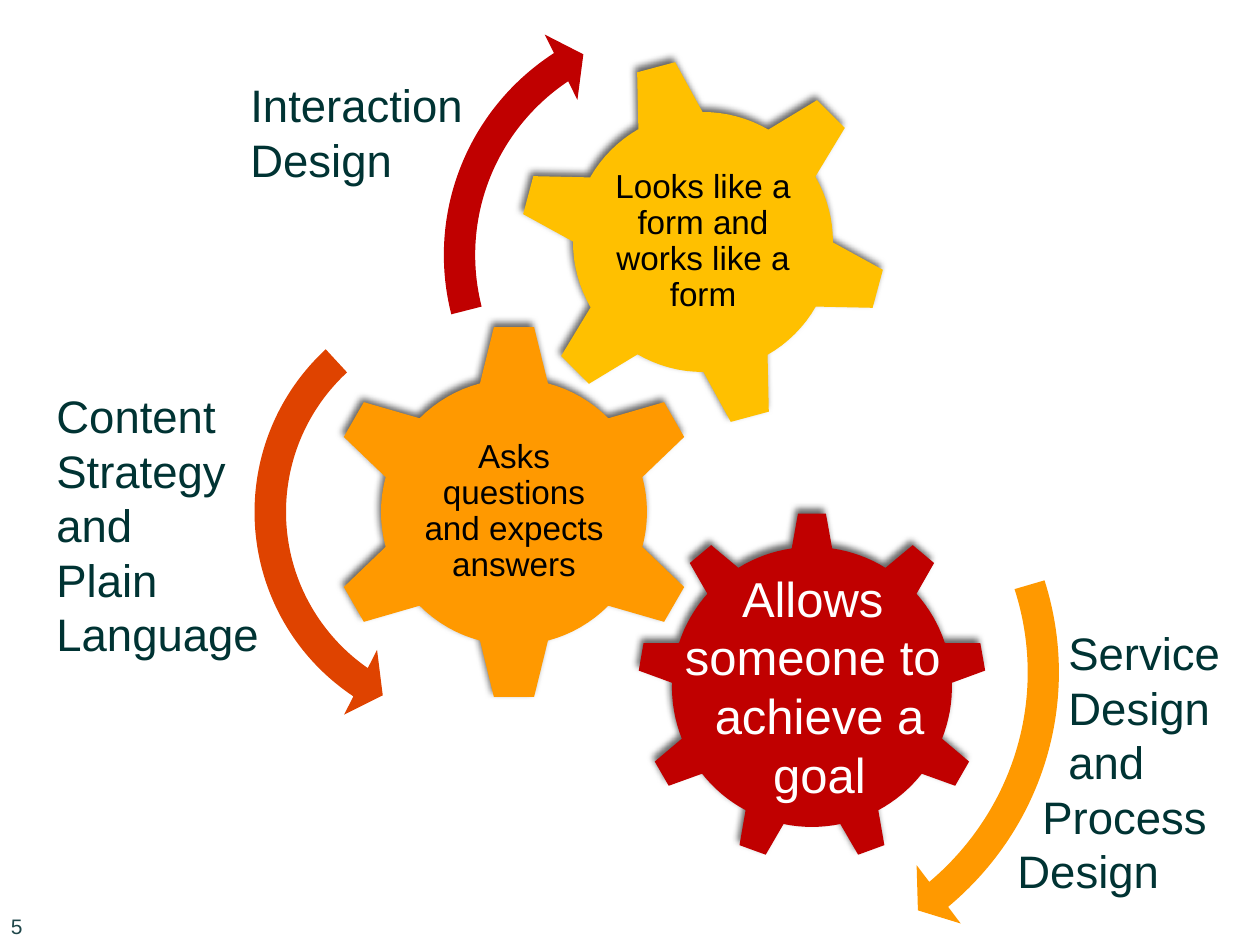
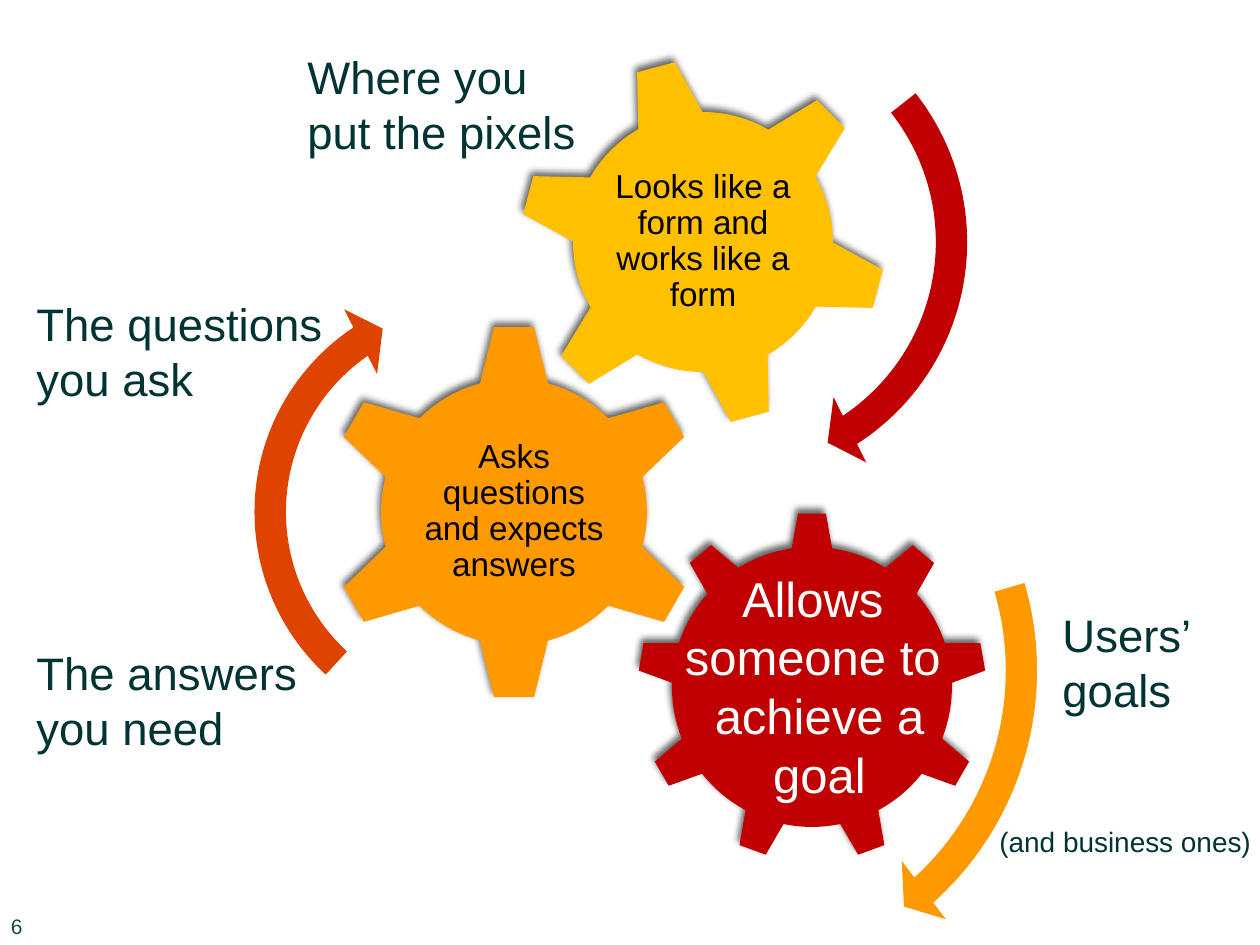
"""Build two slides of interlocking gears with curved arrows and labels."""
from math import cos, radians, sin

from lxml import etree
from pptx import Presentation
from pptx.dml.color import RGBColor
from pptx.enum.shapes import MSO_SHAPE
from pptx.enum.text import MSO_ANCHOR, MSO_AUTO_SIZE, PP_ALIGN
from pptx.oxml.ns import qn
from pptx.util import Emu, Pt

RIGHT, LEFT = MSO_SHAPE.CIRCULAR_ARROW, MSO_SHAPE.LEFT_CIRCULAR_ARROW
MIDDLE, BOTTOM = MSO_ANCHOR.MIDDLE, MSO_ANCHOR.BOTTOM
CENTER, START = PP_ALIGN.CENTER, PP_ALIGN.LEFT
GROW = MSO_AUTO_SIZE.SHAPE_TO_FIT_TEXT

SCALE = 914400 / 126
FONT = "Arial"
HEX = {
    "red": "C00000", "rust": "DF4300", "orange": "FF9900", "gold": "FFC000",
    "teal": "003333", "slate": "1E4649", "black": "000000", "white": "FFFFFF",
}

GEARS = [
    dict(mid=(514, 512), teeth=6, turn=0, tip=(186, 6.2), root=(133, 14.8),
         hue="orange", text="Asks questions and expects answers"),
    dict(mid=(703, 242), teeth=6, turn=-15, tip=(182, 6.2), root=(130, 14.8),
         hue="gold", text="Looks like a form and works like a form"),
    dict(mid=(812, 687), teeth=9, turn=0, tip=(174, 4.6), root=(140, 8.3),
         hue="red", text=""),
]
GOAL = dict(box=(670, 562, 299, 251), size=28, hue="white", align=CENTER,
            paras=["Allows \vsomeone to \vachieve a", "goal"])

RUST = (0.07, 4.3, 104.89, 166.78, 0.08)
AMBER = (0.05, 2.99, 25.57, 203.04, 0.06)
RUST = (0.065, *RUST[1:4], 0.075)
AMBER = (0.047, *AMBER[1:4], 0.055)

SLIDES = [
    dict(
        number="5",
        arrows=[
            dict(kind=LEFT, box=(234, 270, 484, 484), turn=309.3, hue="rust", bend=RUST),
            dict(kind=RIGHT, box=(423, -6, 522, 522), turn=14.9, hue="red",
                 bend=(0.06, 3.94, 133.14, 90.48, 0.07)),
            dict(kind=RIGHT, box=(393, 338, 687, 665), turn=5.3, hue="orange", bend=AMBER),
        ],
        labels=[
            dict(box=(44, 382, 231, 289),
                 paras=["Content", "Strategy", "and", "Plain\vLanguage"]),
            dict(box=(238, 71, 253, 123), paras=["Interaction\vDesign"]),
            dict(box=(1005, 619, 255, 289), wrap=True, indents=(51, 51, 51, 25),
                 paras=["Service", "Design", "and", "Process\vDesign"]),
        ],
    ),
    dict(
        number="6",
        arrows=[
            dict(kind=RIGHT, box=(393, 338, 665, 665), turn=5.3, hue="orange", bend=AMBER),
            dict(kind=LEFT, box=(234, 270, 484, 484), turn=50.7, hue="rust", bend=RUST,
                 flip=True),
            dict(kind=RIGHT, box=(466, -19, 522, 522), turn=194.9, hue="red",
                 bend=(0.06, 3.94, 133.14, 76.1, 0.07)),
        ],
        labels=[
            dict(box=(987, 601, 319, 267), wrap=True, indents=(63, 63, 0),
                 paras=["Users’", "goals", "(and business ones)"], last=(16, 62)),
            dict(box=(24, 639, 301, 123), paras=["The answers\vyou need"]),
            dict(box=(24, 290, 315, 123), paras=["The questions\vyou ask"]),
            dict(box=(295, 43, 296, 123), paras=["Where you", "put the pixels"]),
        ],
    ),
]


def px(*nums):
    """Turn pixels into EMU."""
    return [Emu(round(num * SCALE)) for num in nums]


def style(para, size, hue, align=START):
    """Set the font and alignment of a paragraph."""
    para.font.name, para.font.size = FONT, Pt(size)
    para.font.color.rgb = RGBColor.from_string(HEX[hue])
    para.alignment = align


def paint(shape, hue):
    """Fill a shape flat, with no line and no shadow."""
    shape.fill.solid()
    shape.fill.fore_color.rgb = RGBColor.from_string(HEX[hue])
    shape.line.fill.background()
    shape.shadow.inherit = False


def shade(shape):
    """Cast a soft dark shadow to the upper left."""
    glow = shape._element.spPr.find(qn("a:effectLst"))
    cast = etree.SubElement(glow, qn("a:outerShdw"), blurRad=str(Pt(4)), dist=str(Pt(3)),
                            dir=str(245 * 60000), algn="ctr", rotWithShape="0")
    tint = etree.SubElement(cast, qn("a:srgbClr"), val=HEX["black"])
    etree.SubElement(tint, qn("a:alpha"), val="60000")


def outline(mid, teeth, turn, tip, root):
    """List the points of a gear, tooth by tooth."""
    step, arc = 360 / teeth, 8
    gap = step - 2 * root[1]
    spots = []
    for tooth in range(teeth):
        axis = turn + tooth * step
        spots += [(tip[0], axis - tip[1]), (tip[0], axis + tip[1])]
        spots += [(root[0], axis + root[1] + gap * part / arc) for part in range(arc + 1)]
    return [px(mid[0] + far * sin(radians(deg)), mid[1] - far * cos(radians(deg)))
            for far, deg in spots]


def add_gear(slide, hue, text, **form):
    """Draw one gear and its text."""
    first, *rest = outline(**form)
    pen = slide.shapes.build_freeform(*first)
    pen.add_line_segments(rest, close=True)
    gear = pen.convert_to_shape()
    paint(gear, hue)
    shade(gear)
    if text:
        frame = gear.text_frame
        frame.word_wrap, frame.vertical_anchor = True, MIDDLE
        frame.margin_left = frame.margin_right = px(80)[0]
        para = frame.paragraphs[0]
        para.text, para.line_spacing = text, 0.9
        style(para, 19, "black", CENTER)


def add_arrow(slide, kind, box, turn, hue, bend, flip=False):
    """Draw one curved arrow."""
    arrow = slide.shapes.add_shape(kind, *px(*box))
    for spot, value in enumerate(bend):
        arrow.adjustments[spot] = value
    arrow.rotation = turn
    if flip:
        arrow._element.spPr.get_or_add_xfrm().set("flipV", "1")
    paint(arrow, hue)


def add_label(slide, box, paras, size=26, hue="teal", align=START, wrap=False,
              indents=(), last=None):
    """Write one text box, with first-line indents if given."""
    frame = slide.shapes.add_textbox(*px(*box)).text_frame
    frame.word_wrap, frame.auto_size = wrap, GROW
    for spot, text in enumerate(paras):
        para = frame.add_paragraph() if spot else frame.paragraphs[0]
        para.text = text
        style(para, size, hue, align)
        if indents:
            para._p.get_or_add_pPr().set("indent", str(px(indents[spot])[0]))
    if last:
        para.font.size, para.space_before = Pt(last[0]), Pt(last[1])


def add_number(slide, text):
    """Write the slide number at the lower left."""
    frame = slide.shapes.add_textbox(*px(0, 879, 76, 66)).text_frame
    frame.word_wrap, frame.vertical_anchor = True, BOTTOM
    frame.margin_left = frame.margin_right = px(11)[0]
    frame.paragraphs[0].text = text
    style(frame.paragraphs[0], 12, "slate")


def main():
    """Build and save the deck."""
    deck = Presentation()
    deck.slide_width, deck.slide_height = px(1260, 945)
    for page in SLIDES:
        slide = deck.slides.add_slide(deck.slide_layouts[6])
        add_number(slide, page["number"])
        for gear in GEARS:
            add_gear(slide, **gear)
        for arrow in page["arrows"]:
            add_arrow(slide, **arrow)
        for label in [*page["labels"], GOAL]:
            add_label(slide, **label)
    deck.save("out.pptx")


if __name__ == "__main__":
    main()
